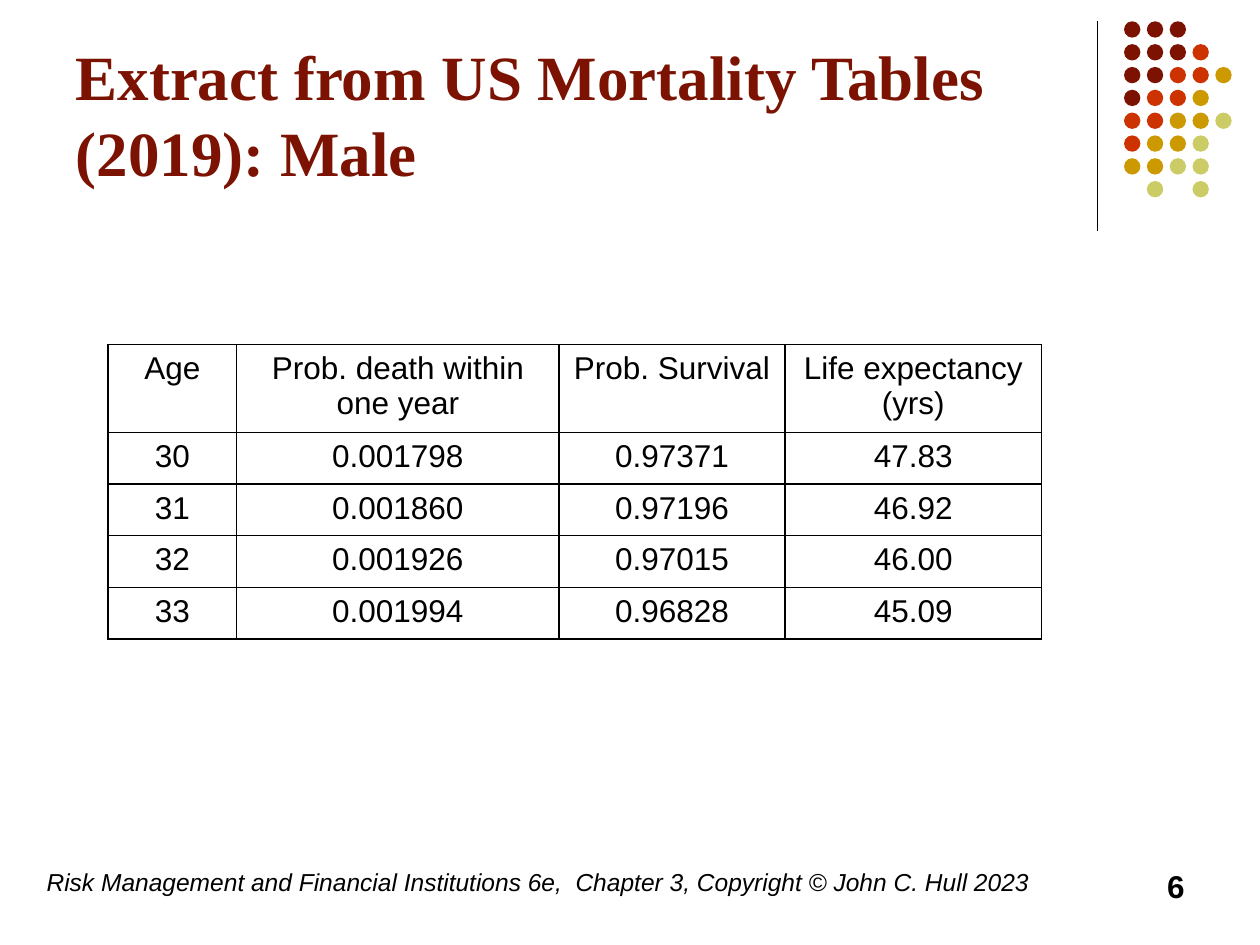
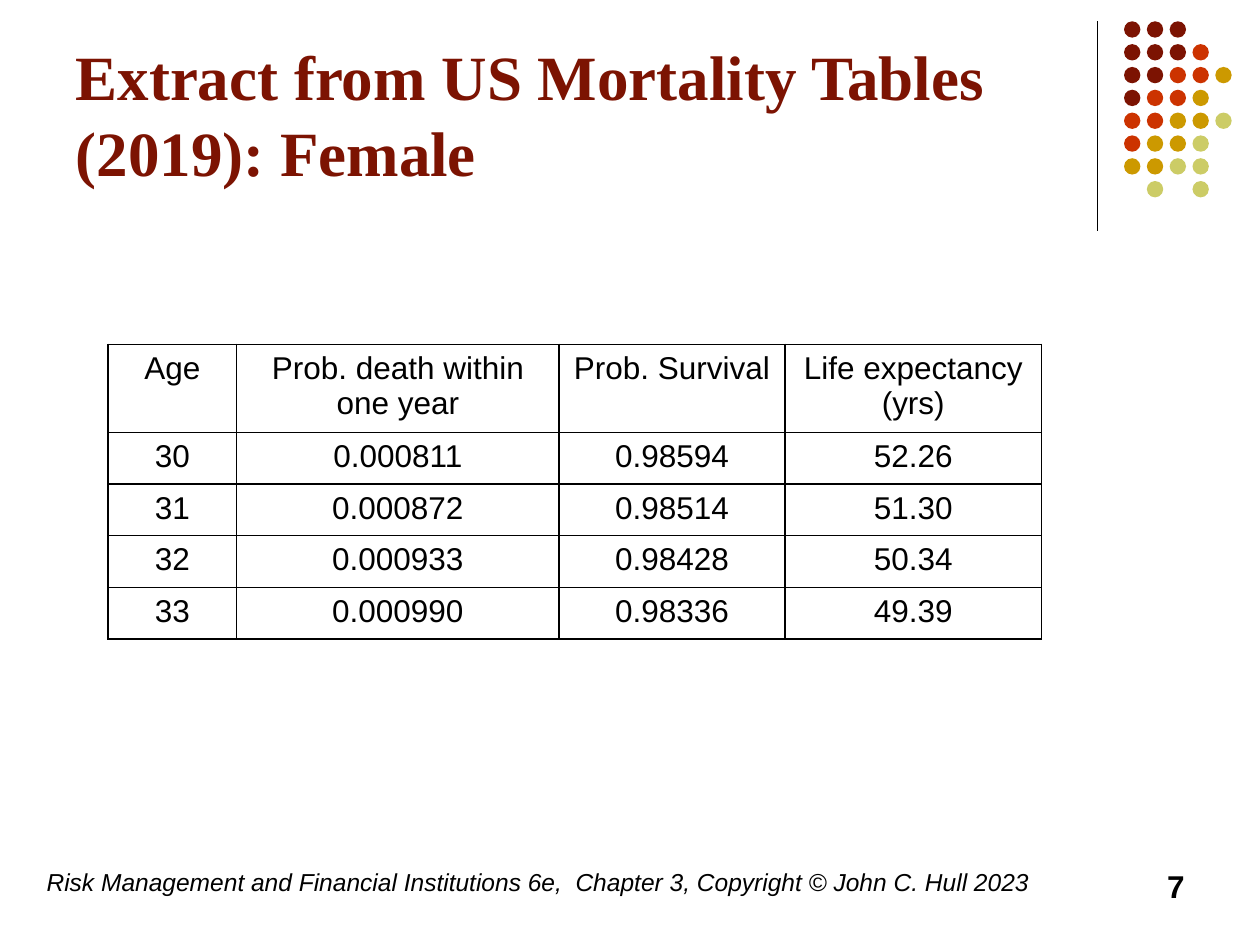
from dataclasses import dataclass

from lxml.etree import SubElement
from pptx import Presentation
from pptx.dml.color import RGBColor
from pptx.enum.shapes import MSO_CONNECTOR, MSO_SHAPE
from pptx.enum.text import MSO_ANCHOR, MSO_AUTO_SIZE, PP_ALIGN
from pptx.oxml.ns import qn
from pptx.util import Cm, Pt


@dataclass(frozen=True)
class Theme:
    """Colours, fonts and type sizes shared by the slides."""

    maroon: str = "7C1302"
    red: str = "CC3300"
    gold: str = "CC9900"
    khaki: str = "CCCC66"
    black: str = "000000"
    title_font: str = "Times New Roman"
    body_font: str = "Arial"
    title_size: int = 36
    body_size: int = 18
    footer_size: int = 14


THEME = Theme()
DOT_ROWS = ("MMM", "MMMR", "MMRRG", "MRRG", "RRGGK", "RGGK", "GGKK", " K K")
DOT_COLORS = {"M": THEME.maroon, "R": THEME.red, "G": THEME.gold, "K": THEME.khaki}
DOT_LEFT, DOT_TOP, DOT_PITCH, DOT_SIZE = 22.66, 0.43, 0.46, 0.33

FOOTER = "Risk Management and Financial Institutions 6e,  Chapter 3, Copyright © John C. Hull 2023"
FIRST_PAGE = 6
HEADINGS = ("Age", "Prob. death within one year", "Prob. Survival", "Life expectancy (yrs)")
COLUMN_WIDTHS = (2.59, 6.5, 4.55, 5.18)
HEADING_HEIGHT, ROW_HEIGHT = 1.78, 1.04
MORTALITY = {
    "Male": (
        ("30", "0.001798", "0.97371", "47.83"),
        ("31", "0.001860", "0.97196", "46.92"),
        ("32", "0.001926", "0.97015", "46.00"),
        ("33", "0.001994", "0.96828", "45.09"),
    ),
    "Female": (
        ("30", "0.000811", "0.98594", "52.26"),
        ("31", "0.000872", "0.98514", "51.30"),
        ("32", "0.000933", "0.98428", "50.34"),
        ("33", "0.000990", "0.98336", "49.39"),
    ),
}


def write(frame, text, size, font=THEME.body_font, color=THEME.black,
          align=PP_ALIGN.LEFT, bold=False, italic=False):
    """Add one formatted run to the first paragraph of a text frame."""
    frame.word_wrap = True
    paragraph = frame.paragraphs[0]
    paragraph.alignment = align
    run = paragraph.add_run()
    run.text = text
    run.font.name = font
    run.font.size = Pt(size)
    run.font.bold = bold
    run.font.italic = italic
    run.font.color.rgb = RGBColor.from_string(color)


def add_title(slide, text):
    """Fill and place the title placeholder."""
    title = slide.shapes.title
    title.left, title.top, title.width, title.height = Cm(1.27), Cm(0.33), Cm(20.96), Cm(3.6)
    frame = title.text_frame
    frame.auto_size = MSO_AUTO_SIZE.NONE
    frame.vertical_anchor = MSO_ANCHOR.BOTTOM
    write(frame, text, THEME.title_size, THEME.title_font, THEME.maroon, bold=True)


def add_rule(slide):
    """Draw the vertical line beside the title."""
    rule = slide.shapes.add_connector(
        MSO_CONNECTOR.STRAIGHT, Cm(22.12), Cm(0.43), Cm(22.12), Cm(4.65))
    rule.line.color.rgb = RGBColor.from_string(THEME.black)
    rule.line.width = Pt(0.75)
    SubElement(rule._element.spPr, qn("a:effectLst"))


def add_dots(slide):
    """Draw the grid of coloured dots in the top right corner."""
    group = slide.shapes.add_group_shape()
    for row, codes in enumerate(DOT_ROWS):
        for column, code in enumerate(codes):
            if code not in DOT_COLORS:
                continue
            dot = group.shapes.add_shape(
                MSO_SHAPE.OVAL, Cm(DOT_LEFT + column * DOT_PITCH),
                Cm(DOT_TOP + row * DOT_PITCH), Cm(DOT_SIZE), Cm(DOT_SIZE))
            dot.shadow.inherit = False
            dot.fill.solid()
            dot.fill.fore_color.rgb = RGBColor.from_string(DOT_COLORS[code])
            dot.line.fill.background()


def add_footer(slide, page):
    """Add the copyright line and the page number."""
    top, height = Cm(17.35), Cm(1.27)
    credit = slide.shapes.add_textbox(Cm(0.69), top, Cm(21), height)
    write(credit.text_frame, FOOTER, THEME.footer_size, italic=True)
    number = slide.shapes.add_textbox(Cm(18.2), top, Cm(5.93), height)
    write(number.text_frame, str(page), THEME.body_size, align=PP_ALIGN.RIGHT, bold=True)


def add_borders(cell):
    """Give a cell a thin black line on all four sides."""
    properties = cell._tc.get_or_add_tcPr()
    for position, side in enumerate(("a:lnL", "a:lnR", "a:lnT", "a:lnB")):
        line = SubElement(properties, qn(side), w=str(Pt(1)))
        fill = SubElement(line, qn("a:solidFill"))
        SubElement(fill, qn("a:srgbClr"), val=THEME.black)
        properties.insert(position, line)


def add_mortality_table(slide, records):
    """Add the table of death and survival probabilities by age."""
    rows = (HEADINGS, *records)
    heights = (HEADING_HEIGHT, *[ROW_HEIGHT] * len(records))
    table = slide.shapes.add_table(
        len(rows), len(HEADINGS), Cm(2.18), Cm(6.94),
        Cm(sum(COLUMN_WIDTHS)), Cm(sum(heights))).table
    table.first_row = table.horz_banding = False
    for column, width in zip(table.columns, COLUMN_WIDTHS):
        column.width = Cm(width)
    for table_row, height, values in zip(table.rows, heights, rows):
        table_row.height = Cm(height)
        for cell, value in zip(table_row.cells, values):
            cell.fill.background()
            add_borders(cell)
            write(cell.text_frame, value, THEME.body_size, align=PP_ALIGN.CENTER)


def main():
    """Build and save the presentation."""
    presentation = Presentation()
    presentation.slide_width, presentation.slide_height = Cm(25.4), Cm(19.05)
    title_only = presentation.slide_layouts[5]
    for page, (sex, records) in enumerate(MORTALITY.items(), FIRST_PAGE):
        slide = presentation.slides.add_slide(title_only)
        add_rule(slide)
        add_dots(slide)
        add_title(slide, f"Extract from US Mortality Tables (2019): {sex}")
        add_footer(slide, page)
        add_mortality_table(slide, records)
    presentation.save("out.pptx")


if __name__ == "__main__":
    main()
